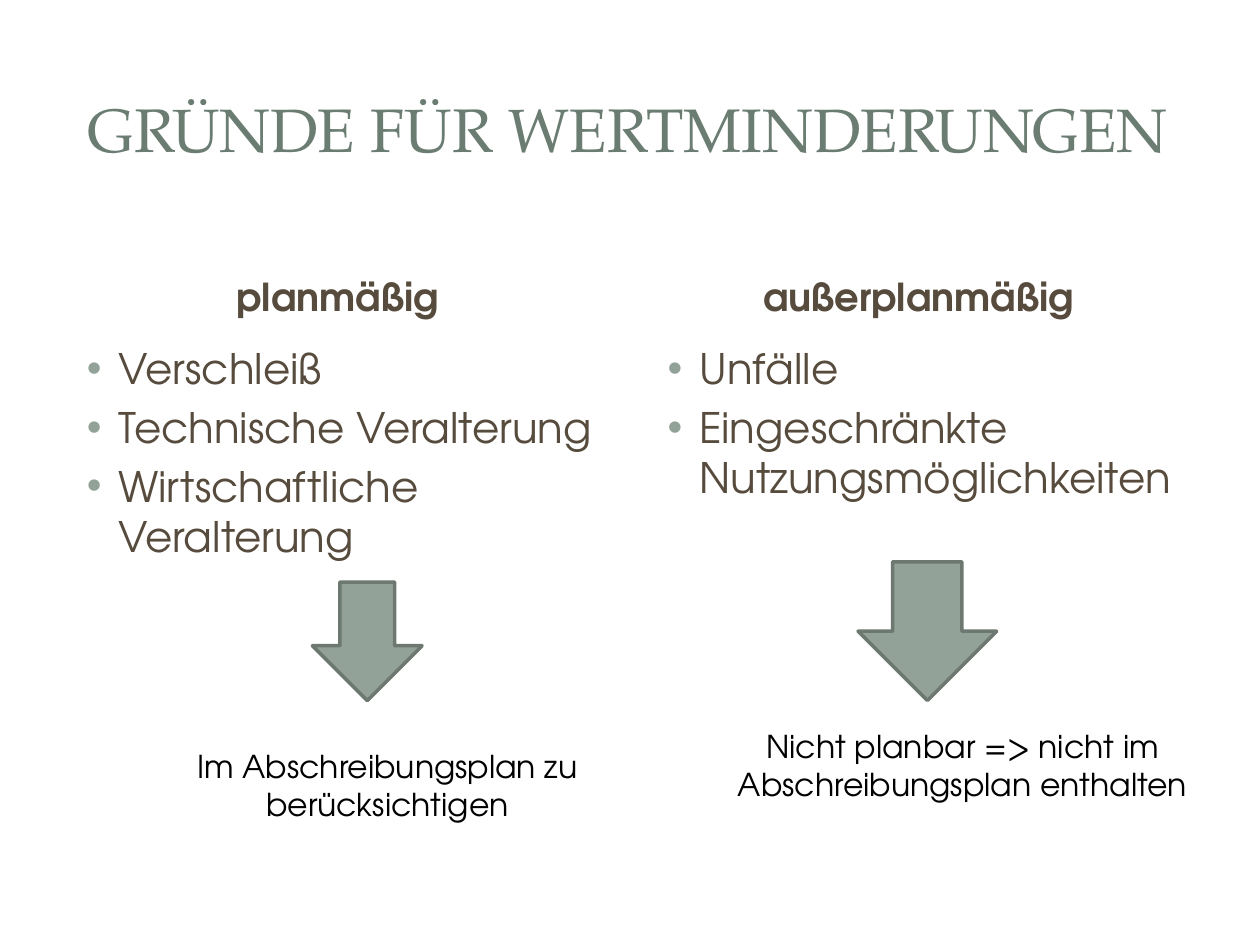
from lxml import etree
from pptx import Presentation
from pptx.dml.color import RGBColor
from pptx.enum.shapes import MSO_SHAPE as Shape
from pptx.enum.text import MSO_ANCHOR as Anchor, PP_ALIGN as Align
from pptx.oxml.ns import qn
from pptx.util import Inches, Pt

SANS, SERIF = "TeX Gyre Adventor", "TeX Gyre Pagella"
BROWN, SAGE, WHITE = "564B3C", "93A299", "FFFFFF"

TITLE = dict(size=Pt(35), name=SERIF, color="6B7D72")
HEAD = dict(size=Pt(22), name=SANS, color=BROWN, bold=True)
ITEM = dict(size=Pt(24), name=SANS, color=BROWN)
NOTE = dict(size=Pt(18), name=SANS, color="000000")


def paint(color, code):
    color.rgb = RGBColor.from_string(code)


def style(font, look):
    for key, value in look.items():
        if key == "color":
            font.fill.solid()
            paint(font.fill.fore_color, value)
        else:
            setattr(font, key, value)


def add_dot(para):
    props = para._p.get_or_add_pPr()
    props.set("marL", str(Inches(0.37)))
    props.set("indent", str(Inches(-0.25)))
    tint = etree.SubElement(props, qn("a:buClr"))
    etree.SubElement(tint, qn("a:srgbClr"), val=SAGE)
    etree.SubElement(props, qn("a:buFont"), typeface="Arial")
    etree.SubElement(props, qn("a:buChar"), char="•")


def add_text(slide, box, lines, look, anchor=Anchor.TOP, dots=False):
    frame = slide.shapes.add_textbox(*map(Inches, box)).text_frame
    frame.word_wrap = True
    frame.vertical_anchor = anchor
    for i, line in enumerate(lines):
        para = frame.add_paragraph() if i else frame.paragraphs[0]
        if i:
            para.space_before = Pt(4.8)
        if dots:
            add_dot(para)
        else:
            para.alignment = Align.CENTER
        run = para.add_run()
        run.text = line
        style(run.font, look)


def add_shape(slide, kind, box, fill, line=None):
    shape = slide.shapes.add_shape(kind, *map(Inches, box))
    shape.shadow.inherit = False
    shape.fill.solid()
    paint(shape.fill.fore_color, fill)
    if line:
        paint(shape.line.color, line)
        shape.line.width = Pt(2)
    else:
        shape.line.fill.background()
    return shape


def add_panels(slide, box):
    """White page panel with a framed title band at its top."""
    left, top, width, height = box
    page = add_shape(slide, Shape.ROUNDED_RECTANGLE, box, WHITE)
    page.adjustments[0] = 0.02
    band = add_shape(slide, Shape.RECTANGLE,
                     (left + 0.2, top + 0.19, width - 0.4, 1.45), WHITE)
    tint = band.fill._xPr.find(".//" + qn("a:srgbClr"))
    etree.SubElement(tint, qn("a:alpha"), val="83000")
    add_shape(slide, Shape.RECTANGLE,
              (left + 0.31, top + 0.3, width - 0.63, 1.22), WHITE)


def add_column(slide, box, head, items, arrow, note):
    """Heading, bullets, arrow and conclusion; arrow and note offset from box."""
    left, top, width, height = box
    gap = 0.79

    def shift(part):
        x, y, w, h = part
        return left + x, top + y, w, h

    # Heading and bullet list
    add_text(slide, (left, top, width, 0.7), [head], HEAD, Anchor.BOTTOM)
    add_text(slide, (left, top + gap, width, height - gap), items, ITEM, dots=True)
    # Arrow down to the conclusion
    add_shape(slide, Shape.DOWN_ARROW, shift(arrow), SAGE, "6D7871")
    place, words = note
    add_text(slide, shift(place), [words], NOTE)


def main():
    deck = Presentation()
    deck.slide_width, deck.slide_height = Inches(10), Inches(7.5)
    slide = deck.slides.add_slide(deck.slide_layouts[6])

    # Panels and title
    add_panels(slide, (0.1, 0.11, 9.8, 7.29))
    add_text(slide, (0.47, 0.45, 9.03, 1.14), ["GRÜNDE FÜR WERTMINDERUNGEN"],
             TITLE, Anchor.MIDDLE)

    # Planned and unplanned losses
    add_column(slide, (0.47, 1.88, 4.42, 4.82), "planmäßig",
               ["Verschleiß", "Technische Veralterung",
                "Wirtschaftliche Veralterung"],
               (2.01, 2.74, 0.87, 0.94),
               ((0.36, 4, 4.49, 0.71),
                "Im Abschreibungsplan zu berücksichtigen"))
    add_column(slide, (5.08, 1.88, 4.42, 4.82), "außerplanmäßig",
               ["Unfälle", "Eingeschränkte Nutzungsmöglichkeiten"],
               (1.73, 2.58, 1.1, 1.1),
               ((0.55, 3.84, 4.02, 0.71),
                "Nicht planbar => nicht im Abschreibungsplan enthalten"))

    deck.save("out.pptx")


if __name__ == "__main__":
    main()
